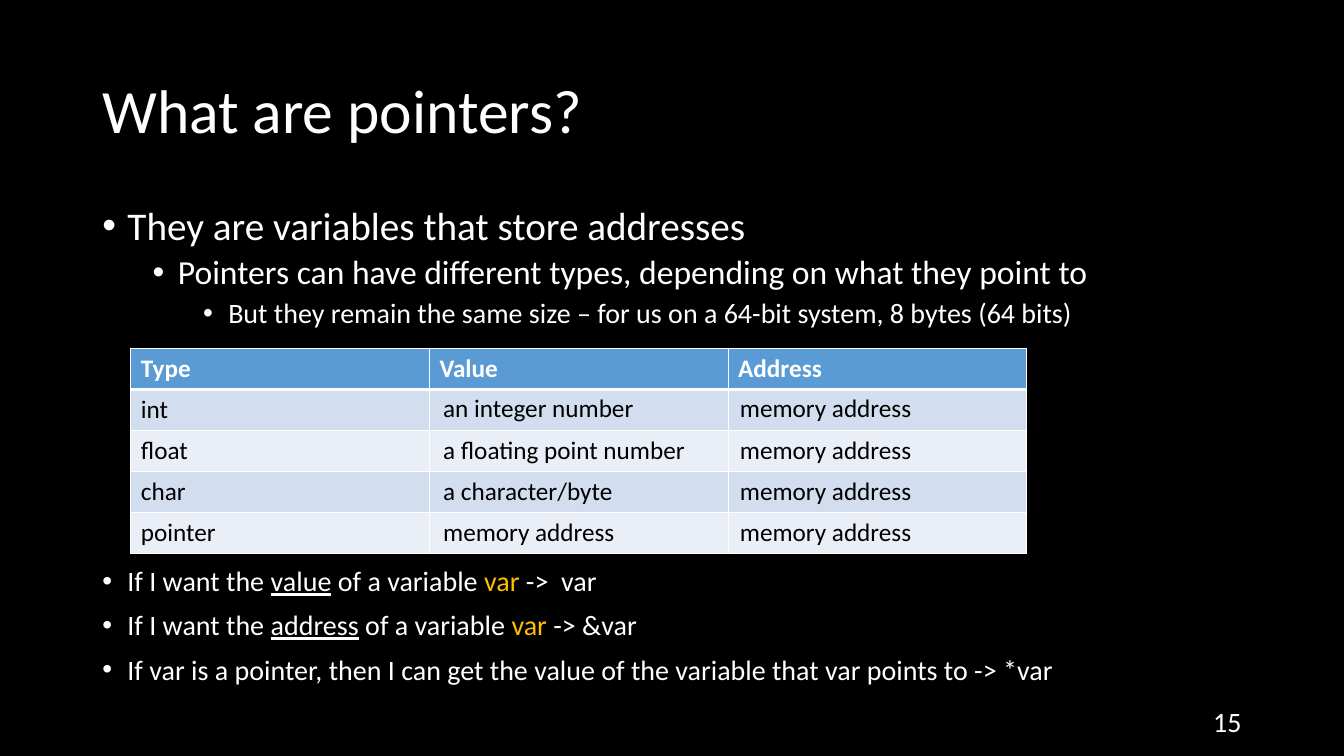
from dataclasses import dataclass

from lxml import etree
from pptx import Presentation
from pptx import util as u
from pptx.dml.color import RGBColor
from pptx.enum import text
from pptx.oxml.ns import qn

Pt = u.Pt


@dataclass(frozen=True)
class Theme:
    """Colours, font and type sizes of the slide."""
    font: str = "Calibri"
    black: str = "000000"
    white: str = "FFFFFF"
    accent: str = "FFC000"
    header: str = "5B9BD5"
    bands: tuple = ("D2DEEF", "EAEFF7")
    title: int = 44
    levels: tuple = (28, 24, 20)
    small: int = 20
    table: int = 18


@dataclass(frozen=True)
class Box:
    """A rectangle in points."""
    left: float
    top: float
    width: float
    height: float

    def lengths(self):
        """Return the four sides as Pt lengths."""
        return [Pt(side) for side in (self.left, self.top, self.width, self.height)]


THEME = Theme()
ROW_NAMES = ["int", "float", "char", "pointer"]
VALUES = ["an integer number", "a floating point number", "a character/byte",
          "memory address"]
ADDRESSES = ["memory address"] * len(ROW_NAMES)
POINTS = [
    "They are variables that store addresses",
    "Pointers can have different types, depending on what they point to",
    "But they remain the same size – for us on a 64-bit system, 8 bytes (64 bits)",
]
# Spans are (wording, style), where style is "", "underline" or "accent".
RULES = [
    [("If I want the ", ""), ("value", "underline"), (" of a variable ", ""),
     ("var", "accent"), (" ->  var", "")],
    [("If I want the ", ""), ("address", "underline"), (" of a variable ", ""),
     ("var", "accent"), (" -> &var", "")],
    [("If var is a pointer, then I can get the value of the variable "
      "that var points to -> *var", "")],
]
TABLE_GAP = 170  # space before the rules, which leaves room for the table


def style_span(span, size, color, bold=False):
    """Set the font, size, colour and weight of a run."""
    span.font.name = THEME.font
    span.font.size = Pt(size)
    span.font.bold = bold
    span.font.color.rgb = RGBColor.from_string(color)


def add_frame(page, box, anchor=text.MSO_ANCHOR.TOP):
    """Add a wrapping text box and return its text frame."""
    frame = page.shapes.add_textbox(*box.lengths()).text_frame
    frame.word_wrap = True
    frame.vertical_anchor = anchor
    return frame


def add_label(page, box, words, size, color, anchor=text.MSO_ANCHOR.TOP):
    """Add one line of text and return its paragraph."""
    frame = add_frame(page, box, anchor)
    frame.text = words
    para = frame.paragraphs[0]
    style_span(para.runs[0], size, color)
    return para


def add_bullet(para, level, before):
    """Give a paragraph its bullet, indent and spacing."""
    para.level = level
    para.line_spacing = 0.9
    para.space_before = Pt(before)
    props = para._p.get_or_add_pPr()
    props.set("marL", str(Pt(18 + 36 * level)))
    props.set("indent", str(Pt(-18)))
    etree.SubElement(props, qn("a:buFont")).set("typeface", "Arial")
    etree.SubElement(props, qn("a:buChar")).set("char", "•")


def add_body(page, box):
    """Write the nested points and, below the table, the rules."""
    frame = add_frame(page, box)
    lines = [([(words, "")], level, THEME.levels[level], 5 if level else 10)
             for level, words in enumerate(POINTS)]
    lines += [(spans, 0, THEME.small, 10 if index else TABLE_GAP)
              for index, spans in enumerate(RULES)]
    for index, (spans, level, size, before) in enumerate(lines):
        para = frame.add_paragraph() if index else frame.paragraphs[0]
        add_bullet(para, level, before)
        for words, style in spans:
            span = para.add_run()
            span.text = words
            style_span(span, size, THEME.accent if style == "accent" else THEME.white)
            span.font.underline = style == "underline"


def add_borders(cell, bottom):
    """Draw white cell borders, with the given width at the bottom."""
    props = cell._tc.get_or_add_tcPr()
    for index, (side, width) in enumerate(
            [("lnL", 1), ("lnR", 1), ("lnT", 1), ("lnB", bottom)]):
        line = etree.Element(qn("a:" + side), w=str(Pt(width)))
        fill = etree.SubElement(line, qn("a:solidFill"))
        etree.SubElement(fill, qn("a:srgbClr")).set("val", THEME.white)
        props.insert(index, line)


def add_type_table(page, box):
    """Draw the banded table with its header and type names."""
    rows = [["Type", "Value", "Address"]] + [[name, "", ""] for name in ROW_NAMES]
    grid = page.shapes.add_table(len(rows), len(rows[0]), *box.lengths()).table
    for row_index, row in enumerate(rows):
        is_header = row_index == 0
        color = THEME.header if is_header else THEME.bands[(row_index - 1) % 2]
        for column_index, words in enumerate(row):
            cell = grid.cell(row_index, column_index)
            cell.fill.solid()
            cell.fill.fore_color.rgb = RGBColor.from_string(color)
            add_borders(cell, 3 if is_header else 1)
            cell.text = words
            para = cell.text_frame.paragraphs[0]
            para.font.size = Pt(THEME.table)
            for span in para.runs:
                style_span(span, THEME.table,
                           THEME.white if is_header else THEME.black, is_header)


def add_entries(page, box, entries):
    """Stack the entries of one table column at an equal pitch."""
    pitch = box.height / len(entries)
    for index, words in enumerate(entries):
        line = Box(box.left, box.top + index * pitch, box.width, 29)
        add_label(page, line, words, THEME.table, THEME.black)


def add_pointer_slide(deck, box):
    """Build the pointer slide inside the given box."""
    page = deck.slides.add_slide(deck.slide_layouts[6])
    page.background.fill.solid()
    page.background.fill.fore_color.rgb = RGBColor.from_string(THEME.black)
    margin = 66
    left, top = box.left + margin, box.top
    width = box.width - 2 * margin
    middle = text.MSO_ANCHOR.MIDDLE

    title = add_label(page, Box(left, top + 29, width, 104), "What are pointers?",
                      THEME.title, THEME.white, middle)
    title.line_spacing = 0.9
    add_body(page, Box(left, top + 144, width, 382))
    add_type_table(page, Box(left + 27.5, top + 249, 640, 146.5))
    for offset, entries in ((243.5, VALUES), (455.5, ADDRESSES)):
        add_entries(page, Box(left + offset, top + 277, 194, 118), entries)
    number = add_label(page, Box(left + width - 216, top + 500.5, 216, 29), "15",
                       THEME.small, THEME.white, middle)
    number.alignment = text.PP_ALIGN.RIGHT


deck = Presentation()
deck.slide_width, deck.slide_height = Pt(960), Pt(540)
add_pointer_slide(deck, Box(0, 0, 960, 540))
deck.save("out.pptx")
